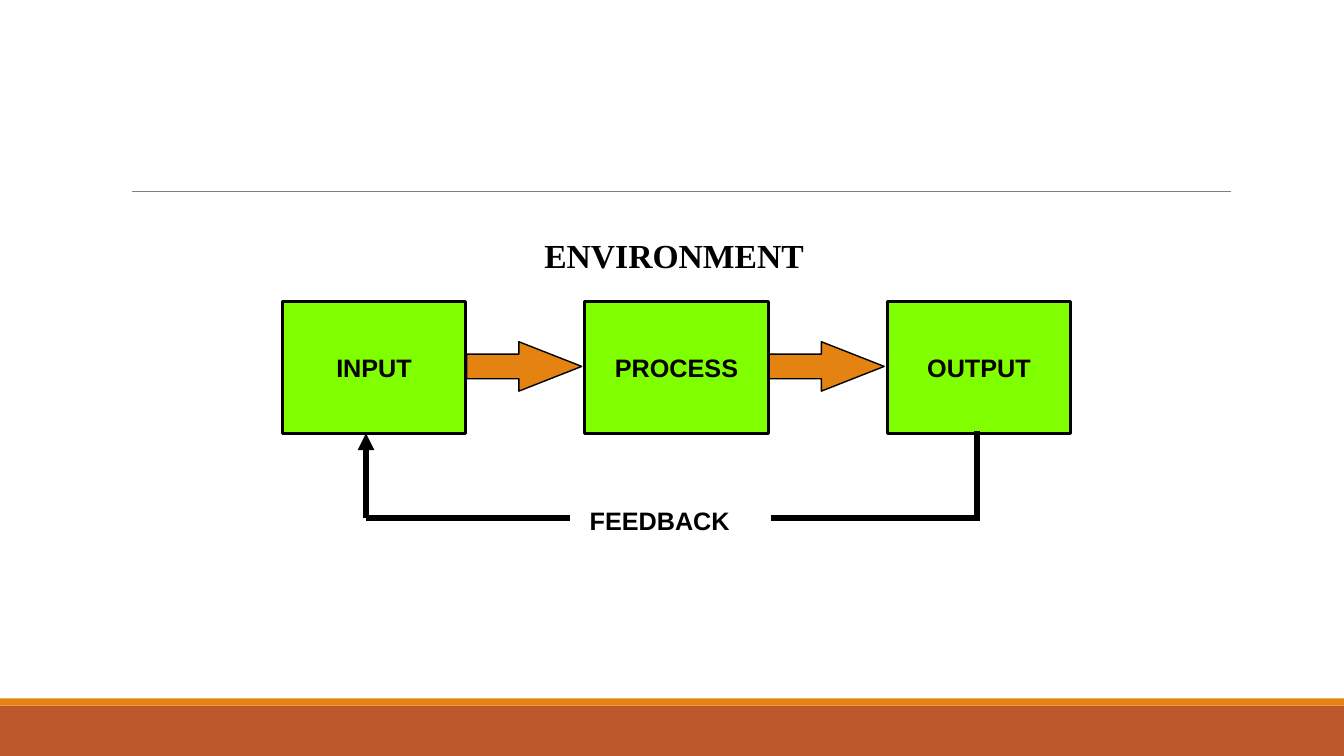
from pptx import Presentation
from pptx.dml.color import RGBColor
from pptx.enum import shapes, text
from pptx.oxml.ns import qn
from pptx.util import Inches, Pt
from lxml import etree

BLACK = RGBColor(0x00, 0x00, 0x00)
GREY = RGBColor(0x80, 0x80, 0x80)
GREEN = RGBColor(0x7F, 0xFF, 0x00)
ORANGE = RGBColor(0xE4, 0x83, 0x12)
RUST = RGBColor(0xBD, 0x58, 0x2C)

presentation = Presentation()
presentation.slide_width = Inches(13.33)
presentation.slide_height = Inches(7.5)
slide = presentation.slides.add_slide(presentation.slide_layouts[6])


def add_box(kind, left, top, width, height, fill, line_width=0):
    shape = slide.shapes.add_shape(
        kind, Inches(left), Inches(top), Inches(width), Inches(height))
    shape.shadow.inherit = False
    shape.fill.solid()
    shape.fill.fore_color.rgb = fill
    if line_width:
        shape.line.color.rgb = BLACK
        shape.line.width = Pt(line_width)
    else:
        shape.line.fill.background()
    return shape


def add_line(start, end, color, width):
    line = slide.shapes.add_connector(
        shapes.MSO_CONNECTOR.STRAIGHT, *[Inches(value) for value in start + end])
    line.line.color.rgb = color
    line.line.width = Pt(width)
    etree.SubElement(line._element.spPr, qn("a:effectLst"))
    return line


# Footer bands and title rule
RECTANGLE = shapes.MSO_SHAPE.RECTANGLE
add_box(RECTANGLE, 0, 7, 13.33, 0.5, RUST)
add_box(RECTANGLE, 0, 6.93, 13.33, 0.07, ORANGE)
add_line((1.31, 1.9), (12.21, 1.9), GREY, 0.5)

# Stages, evenly spaced, with a block arrow between neighbours
labels = []
stages = ["INPUT", "PROCESS", "OUTPUT"]
first_left, pitch, stage_width = 2.8, 3, 1.82
for index, stage in enumerate(stages):
    left = first_left + index * pitch
    box = add_box(RECTANGLE, left, 2.99, stage_width, 1.31, GREEN, 2)
    box.text_frame.vertical_anchor = text.MSO_ANCHOR.MIDDLE
    box.text_frame.paragraphs[0].alignment = text.PP_ALIGN.CENTER
    labels.append((box, stage, "Arial", 18))
    if index < len(stages) - 1:
        arrow = add_box(shapes.MSO_SHAPE.RIGHT_ARROW, left + stage_width + 0.01,
                        3.39, 1.14, 0.49, ORANGE, 1)
        arrow.adjustments[0] = 0.5
        arrow.adjustments[1] = 1.272

# Feedback loop from output back to input
add_line((7.65, 5.14), (9.67, 5.14), BLACK, 4)
add_line((9.69, 5.17), (9.69, 4.28), BLACK, 4)
add_line((3.63, 5.14), (5.65, 5.14), BLACK, 4)
return_line = add_line((3.63, 4.3), (3.63, 5.14), BLACK, 4)
etree.SubElement(return_line.line._get_or_add_ln(), qn("a:headEnd"), type="triangle")

# Captions
for caption, left, top, width, font_name, size in [
    ("FEEDBACK", 5.75, 4.96, 2.05, "Arial", 18),
    ("ENVIRONMENT", 5.3, 2.28, 2.8, "Times New Roman", 24),
]:
    box = slide.shapes.add_textbox(Inches(left), Inches(top), Inches(width), Inches(0.5))
    box.text_frame.word_wrap = True
    box.text_frame.margin_right = 0
    labels.append((box, caption, font_name, size))

# Bold black lettering for stages and captions
for box, label, font_name, size in labels:
    run = box.text_frame.paragraphs[0].add_run()
    run.text = label
    run.font.name = font_name
    run.font.size = Pt(size)
    run.font.bold = True
    run.font.color.rgb = BLACK

presentation.save("out.pptx")
